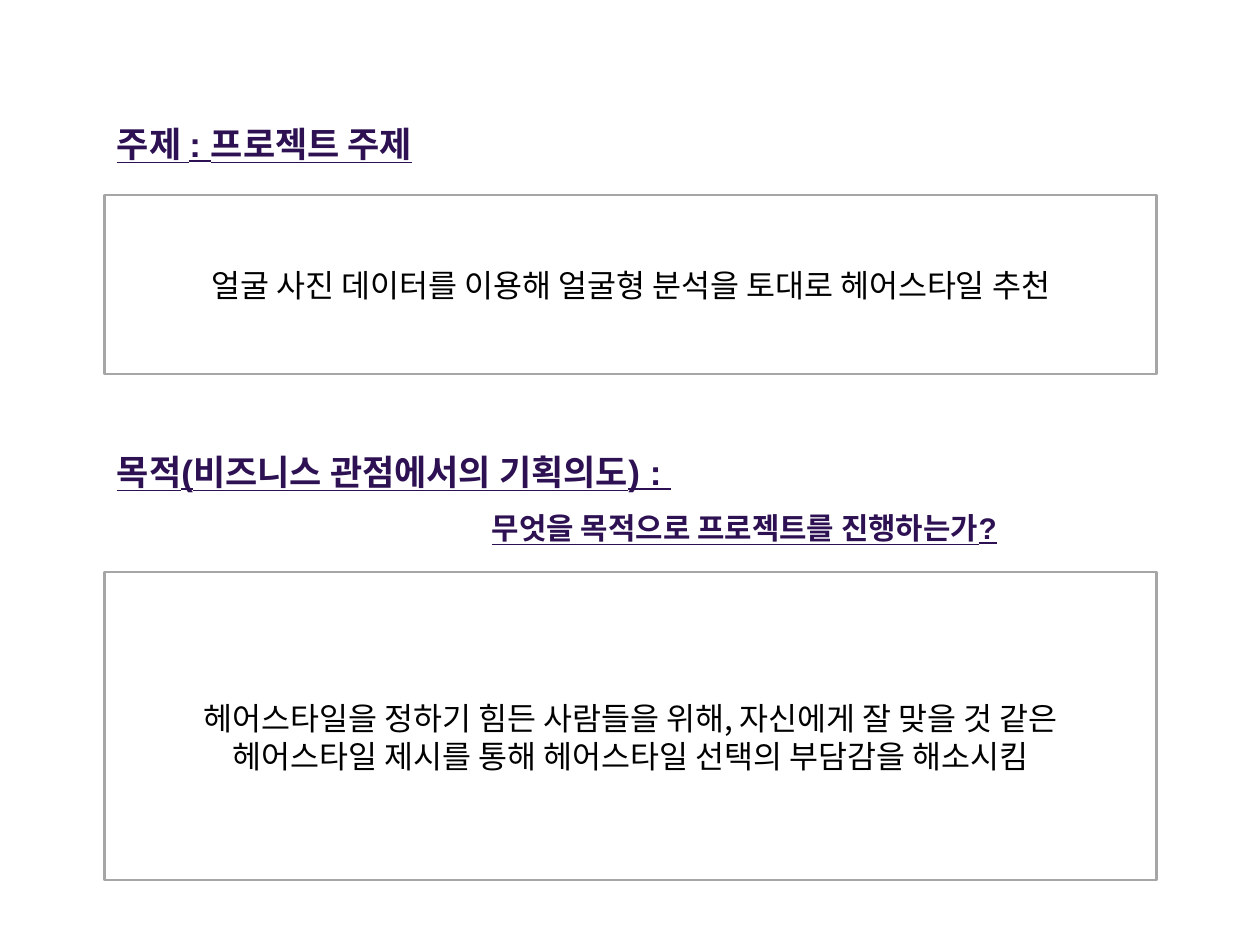
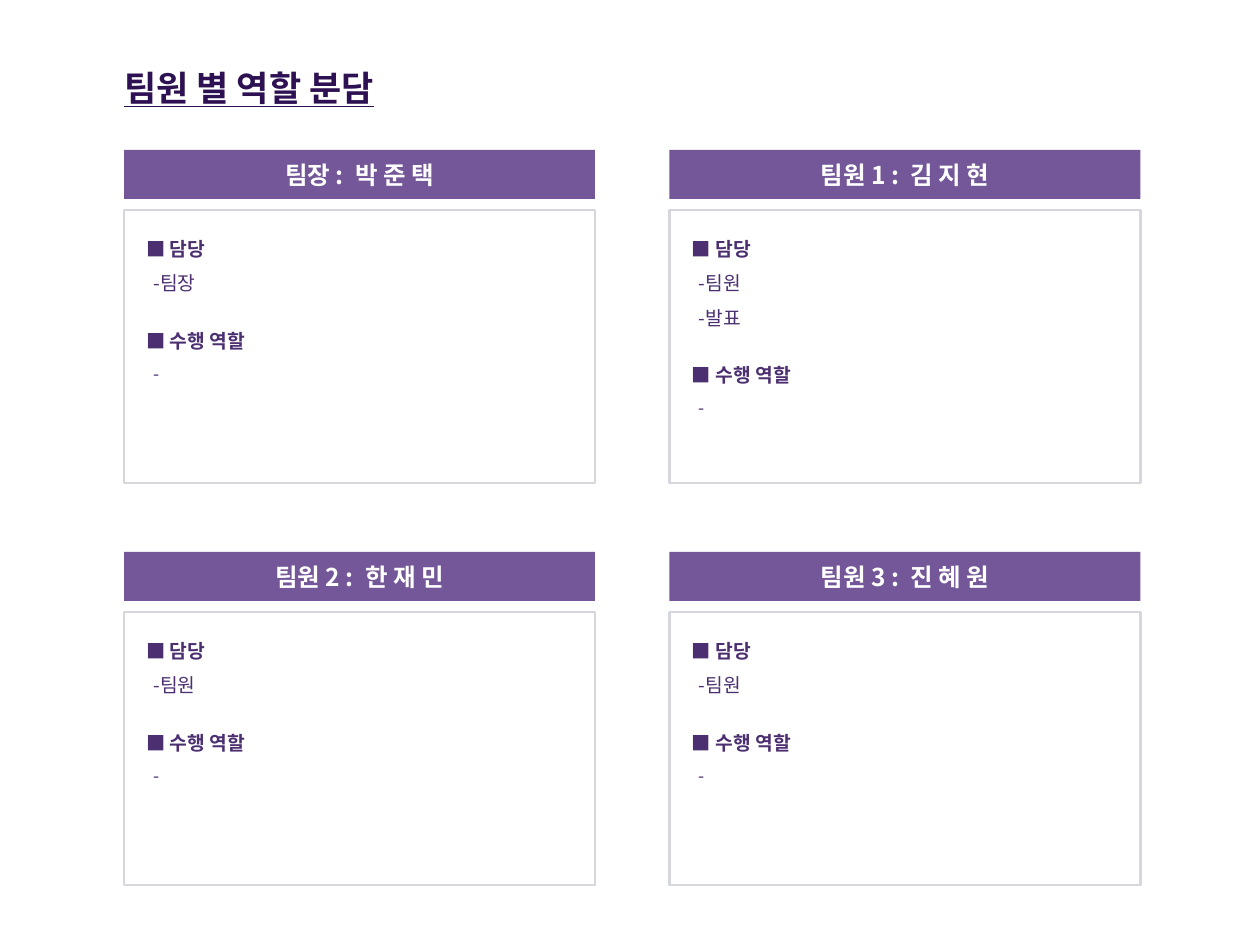
from pptx import Presentation
from pptx.dml.color import RGBColor
from pptx.enum.shapes import MSO_SHAPE
from pptx.enum.text import MSO_ANCHOR, MSO_AUTO_SIZE, PP_ALIGN
from pptx.oxml.ns import qn
from pptx.util import Pt
from lxml.etree import SubElement

SCALE = 914400 / 126
COLORS = {
    "title": "2D1152",
    "frame": "A6A6A6",
    "band": "735798",
    "card": "D6D7DE",
    "body": "4B2F70",
    "black": "000000",
    "white": "FFFFFF",
}
LATIN, KOREAN = "Arial", "Noto Sans CJK KR"
TITLE = {"name": LATIN, "size": 20, "color": "title", "bold": True, "underline": True}
SUBTITLE = {**TITLE, "size": 17}
STATEMENT = {"name": KOREAN, "size": 18, "color": "black"}
BAND = {"name": KOREAN, "size": 14, "color": "white", "bold": True}
HEADING = {"name": KOREAN, "size": 11, "color": "body", "bold": True}
ITEM = {**HEADING, "bold": False}
EMPTY_ITEM = {**ITEM, "size": 10}


def emu(pixels):
    return round(pixels * SCALE)


def rgb(name):
    return RGBColor.from_string(COLORS[name])


def write(paragraph, text, style, indent=0, **layout):
    run = paragraph.add_run()
    run.text = text
    for key, value in style.items():
        if key == "color":
            run.font.color.rgb = rgb(value)
        else:
            setattr(run.font, key, Pt(value) if key == "size" else value)
    SubElement(run.font._element, qn("a:ea"), typeface=KOREAN)
    for key, value in layout.items():
        setattr(paragraph, key, value)
    if indent:
        paragraph._p.get_or_add_pPr().set("marL", str(emu(indent)))


def add_text(shapes, box, lines, **frame_format):
    frame = shapes.add_textbox(*map(emu, box)).text_frame
    for key, value in {"word_wrap": True, **frame_format}.items():
        setattr(frame, key, value)
    for index, (text, style, layout) in enumerate(lines):
        paragraph = frame.add_paragraph() if index else frame.paragraphs[0]
        write(paragraph, text, style, **layout)


def add_rectangle(shapes, box, fill=None, line=None):
    shape = shapes.add_shape(MSO_SHAPE.RECTANGLE, *map(emu, box))
    shape.shadow.inherit = False
    if fill:
        shape.fill.solid()
        shape.fill.fore_color.rgb = rgb(fill)
    else:
        shape.fill.background()
    if line:
        shape.line.color.rgb = rgb(line)
        shape.line.width = Pt(1.5)
    else:
        shape.line.fill.background()
    return shape


def add_title(slide, box, lines, wrap=True):
    add_text(slide.shapes, box, lines, word_wrap=wrap,
             auto_size=MSO_AUTO_SIZE.SHAPE_TO_FIT_TEXT)


def add_statement(slide, box, lines, first_spacing=1.0, **margins):
    add_rectangle(slide.shapes, box, line="frame")
    centered = [(text, STATEMENT, {"alignment": PP_ALIGN.CENTER}) for text in lines]
    centered[0][2]["line_spacing"] = first_spacing
    add_text(slide.shapes, box, centered, vertical_anchor=MSO_ANCHOR.MIDDLE, **margins)


def add_member_card(slide, box, name, duties):
    left, top, width, height = box
    card = slide.shapes.add_group_shape().shapes
    band = add_rectangle(card, (left, top, width, 49), fill="band")
    band.text_frame.vertical_anchor = MSO_ANCHOR.MIDDLE
    write(band.text_frame.paragraphs[0], name, BAND, alignment=PP_ALIGN.CENTER)
    add_rectangle(card, (left, top + 60, width, height - 60), line="card")

    spaced = {"line_spacing": 1.5}
    indented = {**spaced, "indent": 7}
    lines = [("■ 담당", HEADING, spaced)]
    lines += [("-" + duty, ITEM, indented) for duty in duties]
    lines += [("■ 수행 역할", HEADING, {**spaced, "space_before": Pt(13)}),
              ("-", EMPTY_ITEM, indented)]
    add_text(slide.shapes, (left + 10, top + 69, width - 20, 103 + 35 * len(duties) + 35),
             lines, auto_size=MSO_AUTO_SIZE.SHAPE_TO_FIT_TEXT)


def build_topic_slide(slide):
    left, width = 104.5, 1052
    add_title(slide, (left, 116, 374, 55), [("주제 : 프로젝트 주제", TITLE, {})])
    add_statement(slide, (left, 195, width, 179),
                  ["얼굴 사진 데이터를 이용해 얼굴형 분석을 토대로 헤어스타일 추천"])
    add_title(slide, (left, 423, width, 131), [
        ("목적(비즈니스 관점에서의 기획의도) : ", TITLE, {"line_spacing": 1.5}),
        ("무엇을 목적으로 프로젝트를 진행하는가?", SUBTITLE,
         {"line_spacing": 1.5, "indent": 375}),
    ])
    add_statement(slide, (left, 572, width, 308),
                  ["헤어스타일을 정하기 힘든 사람들을 위해, 자신에게 잘 맞을 것 같은",
                   "헤어스타일 제시를 통해 헤어스타일 선택의 부담감을 해소시킴"],
                  first_spacing=3.0, margin_top=0, margin_bottom=emu(54))


def build_team_slide(slide):
    add_title(slide, (112, 60, 310, 55), [("팀원 별 역할 분담", TITLE, {})], wrap=False)
    members = [
        ("팀장 :  박 준 택", ["팀장"]),
        ("팀원 1 :  김 지 현", ["팀원", "발표"]),
        ("팀원 2 :  한 재 민", ["팀원"]),
        ("팀원 3 :  진 혜 원", ["팀원"]),
    ]
    for index, (name, duties) in enumerate(members):
        row, column = divmod(index, 2)
        box = (124 + 545.5 * column, 150 + 402 * row, 471, 333)
        add_member_card(slide, box, name, duties)


presentation = Presentation()
presentation.slide_width, presentation.slide_height = emu(1260), emu(945)
for build in (build_topic_slide, build_team_slide):
    build(presentation.slides.add_slide(presentation.slide_layouts[6]))
presentation.save("out.pptx")
